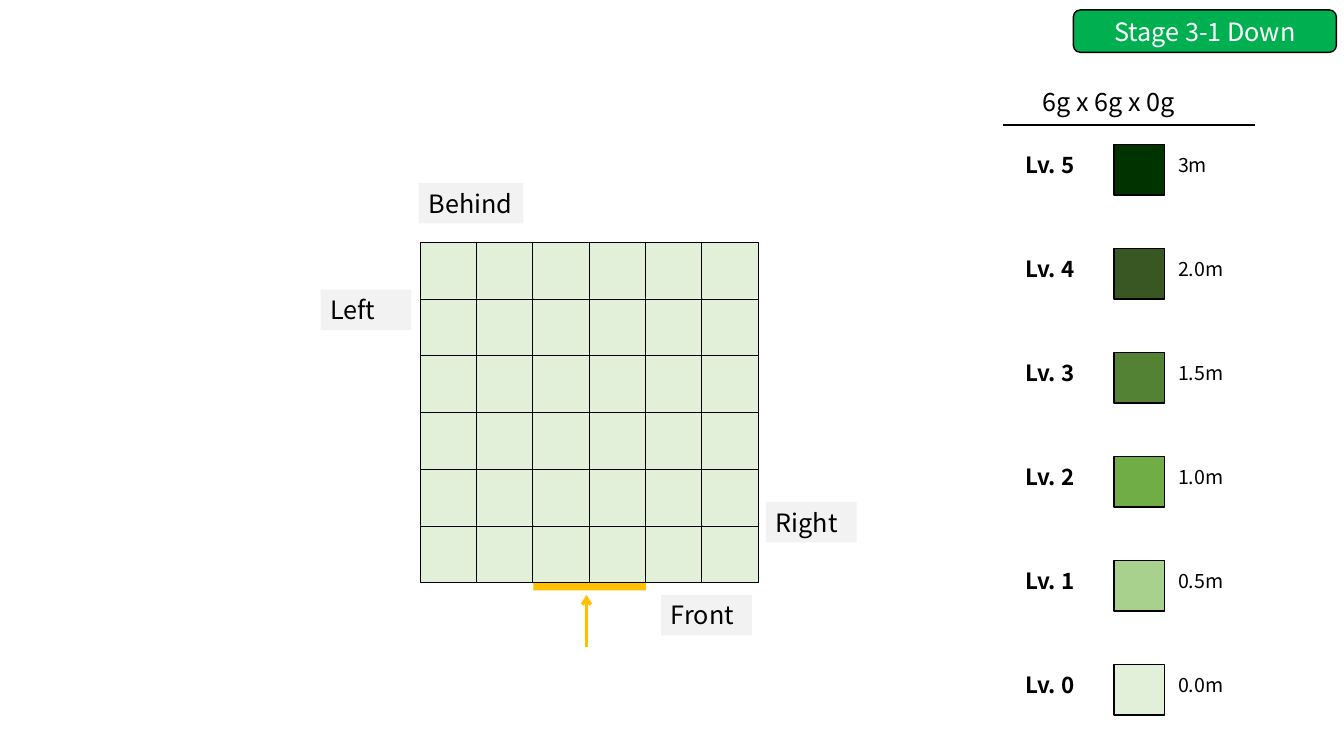
from lxml import etree
from pptx import Presentation
from pptx.dml.color import RGBColor
from pptx.enum.shapes import MSO_CONNECTOR, MSO_SHAPE
from pptx.enum.text import MSO_ANCHOR, PP_ALIGN
from pptx.oxml.ns import qn
from pptx.util import Cm, Pt

RECT, ROUNDED = MSO_SHAPE.RECTANGLE, MSO_SHAPE.ROUNDED_RECTANGLE
STRAIGHT = MSO_CONNECTOR.STRAIGHT
LEFT, CENTER = PP_ALIGN.LEFT, PP_ALIGN.CENTER
TOP, MIDDLE = MSO_ANCHOR.TOP, MSO_ANCHOR.MIDDLE
FONT = "Noto Sans CJK KR"
COLORS = {
    "black": "000000", "white": "FFFFFF", "badge": "00B050",
    "label": "F2F2F2", "entrance": "FFC000",
    "Lv. 5": "003300", "Lv. 4": "385723", "Lv. 3": "548235",
    "Lv. 2": "70AD47", "Lv. 1": "A9D18E", "Lv. 0": "E2F0D9",
}

prs = Presentation()
prs.slide_width, prs.slide_height = Cm(33.87), Cm(19.05)
slide = prs.slides.add_slide(prs.slide_layouts[6])


def add_box(x, y, w, h, fill, line=None, kind=RECT):
    """Add a filled shape, in cm, with a black outline of line points if given."""
    s = slide.shapes.add_shape(kind, Cm(x), Cm(y), Cm(w), Cm(h))
    s.shadow.inherit = False
    s.fill.solid()
    s.fill.fore_color.rgb = RGBColor.from_string(COLORS[fill])
    if line:
        s.line.color.rgb = RGBColor.from_string(COLORS["black"])
        s.line.width = Pt(line)
    else:
        s.line.fill.background()
    return s


def add_text(s, text, size=18, bold=False, color="black", align=LEFT, anchor=TOP):
    """Write one formatted line of text into a shape or text box."""
    tf = s.text_frame
    tf.word_wrap = True
    tf.vertical_anchor = anchor
    p = tf.paragraphs[0]
    p.alignment = align
    r = p.add_run()
    r.text = text
    r.font.name, r.font.size, r.font.bold = FONT, Pt(size), bold
    r.font.color.rgb = RGBColor.from_string(COLORS[color])


# Stage badge
badge = add_box(27.05, 0.25, 6.63, 1.07, "badge", line=1, kind=ROUNDED)
add_text(badge, "Stage 3-1 Down", color="white", align=CENTER, anchor=MIDDLE)

# Height legend
title = slide.shapes.add_textbox(Cm(26.03), Cm(2.06), Cm(6.45), Cm(1.02))
add_text(title, "6g x 6g x 0g")
heights = [("Lv. 5", "3m"), ("Lv. 4", "2.0m"), ("Lv. 3", "1.5m"),
           ("Lv. 2", "1.0m"), ("Lv. 1", "0.5m"), ("Lv. 0", "0.0m")]
for i, (level, height) in enumerate(heights):
    y = 3.64 + i * 2.62
    add_box(28.07, y, 1.28, 1.28, level, line=1)
    s = slide.shapes.add_textbox(Cm(25.6), Cm(y + 0.04), Cm(2.72), Cm(0.94))
    add_text(s, level, size=16, bold=True)
    s = slide.shapes.add_textbox(Cm(29.44), Cm(y + 0.09), Cm(4.34), Cm(0.86))
    add_text(s, height, size=14)

# Entrance bar, then the legend rule and the entrance arrow
add_box(13.44, 14.63, 2.84, 0.25, "entrance")
lines = [(25.27, 3.15, 31.62, 3.15, "black", 1, False),
         (14.78, 16.31, 14.78, 14.99, "entrance", 2.25, True)]
for x1, y1, x2, y2, color, width, arrow in lines:
    s = slide.shapes.add_connector(STRAIGHT, Cm(x1), Cm(y1), Cm(x2), Cm(y2))
    s.line.color.rgb = RGBColor.from_string(COLORS[color])
    s.line.width = Pt(width)
    if arrow:
        etree.SubElement(s.line._get_or_add_ln(), qn("a:tailEnd"), type="arrow")
    etree.SubElement(s._element.spPr, qn("a:effectLst"))

# Side labels
sides = [("Behind", 10.55, 4.61, 2.64), ("Left", 8.08, 7.3, 2.29),
         ("Front", 16.66, 14.99, 2.29), ("Right", 19.3, 12.65, 2.29)]
for side, x, y, w in sides:
    add_text(add_box(x, y, w, 1.02, "label"), side)

# Floor grid, all at level 0
for row in range(6):
    for col in range(6):
        add_box(10.58 + col * 1.42, 6.1 + row * 1.43, 1.43, 1.43, "Lv. 0", line=0.25)

prs.save("out.pptx")
